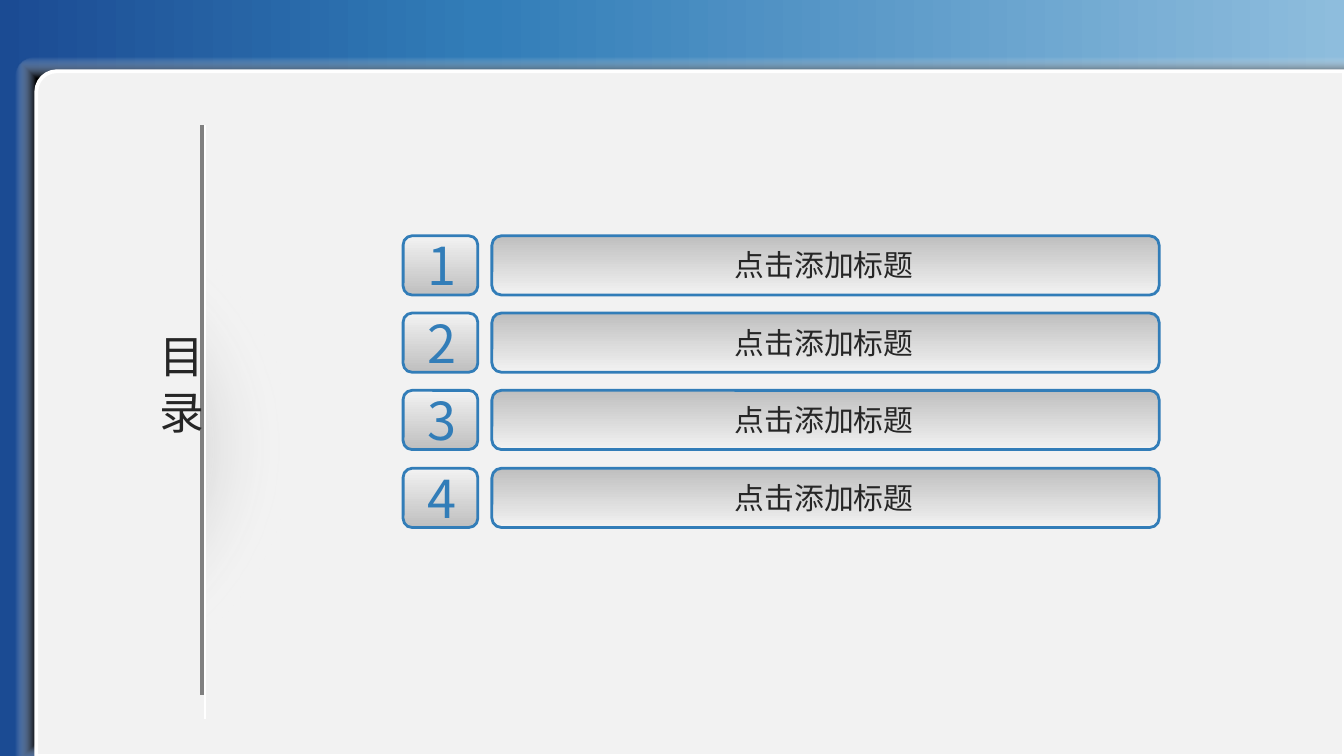
from dataclasses import dataclass
from typing import NamedTuple, Optional

import lxml.etree
import pptx
import pptx.dml.color
import pptx.enum.shapes
import pptx.enum.text
import pptx.oxml.ns
import pptx.util

PX = 4572
qn = pptx.oxml.ns.qn
Preset = pptx.enum.shapes.MSO_SHAPE
Align = pptx.enum.text.PP_ALIGN


class Frame(NamedTuple):
    left: int
    top: int
    width: int
    height: int

    def down(self, distance: int) -> "Frame":
        return self._replace(top=self.top + distance)


class Stop(NamedTuple):
    position: int
    color: str
    opaque: bool = True


class Gradient(NamedTuple):
    stops: tuple[Stop, ...]
    angle: int = 0
    shade: Optional[str] = None


class Stroke(NamedTuple):
    color: str
    width: float


class TextStyle(NamedTuple):
    size: int
    font: str
    color: str
    alignment: Align = Align.CENTER
    outline: Optional[Stroke] = None


@dataclass(frozen=True)
class Theme:
    silver: str = "BFBFBF"
    paper: str = "F2F2F2"
    white: str = "FFFFFF"
    gray: str = "808080"
    blue: str = "327DB8"
    title: TextStyle = TextStyle(24, "Noto Sans CJK JP", "262626")
    label: TextStyle = TextStyle(16, "Noto Sans CJK SC", "262626", Align.LEFT)
    number: TextStyle = TextStyle(
        28, "Noto Sans CJK JP", "327DB8", outline=Stroke("FFFFFF", 0.25))
    backdrop: Gradient = Gradient((Stop(0, "1B4B93"), Stop(36, "327DB8"), Stop(100, "8EBDDD")))
    panel_shadow: Gradient = Gradient(
        (Stop(94, "000000"), Stop(100, "FFFFFF", False)), shade="shape")
    glow: Gradient = Gradient((Stop(7, "808080"), Stop(49, "FFFFFF", False)), shade="circle")


@dataclass(frozen=True)
class Entry:
    number: str
    label: str


THEME = Theme()
SLIDE = Frame(0, 0, 2000, 1125)
ENTRIES = [Entry(str(number), "点击添加标题") for number in range(1, 5)]
BAR = Frame(732, 351, 993, 88)
LABEL = Frame(1074, 358, 310, 74)
BADGE = Frame(600, 351, 111, 88)
NUMBER = Frame(616, 338, 84, 114)
THREE_ROWS = 346
GLOW_BAND = [(-584, 852), (-572, 852), (-572, 900), (516, 900),
             (516, 852), (722, 852), (722, 1026), (-584, 1026)]
GLOW_EDGE = [(-584, 304), (722, 304), (722, 388), (-584, 388)]


def rgb(color: str) -> pptx.dml.color.RGBColor:
    return pptx.dml.color.RGBColor.from_string(color)


def emu(frame: Frame) -> list[int]:
    return [length * PX for length in frame]


def add_color(parent, color: str, opaque: bool = True) -> None:
    node = lxml.etree.SubElement(parent, qn("a:srgbClr"), val=color)
    if not opaque:
        lxml.etree.SubElement(node, qn("a:alpha"), val="0")


def fill_gradient(shape, gradient: Gradient) -> None:
    properties = shape._element.spPr
    fill = properties.makeelement(qn("a:gradFill"), {"rotWithShape": "1"})
    stops = lxml.etree.SubElement(fill, qn("a:gsLst"))
    for stop in gradient.stops:
        node = lxml.etree.SubElement(stops, qn("a:gs"), pos=str(stop.position * 1000))
        add_color(node, stop.color, stop.opaque)
    if gradient.shade:
        shade = lxml.etree.SubElement(fill, qn("a:path"))
        shade.set("path", gradient.shade)
        center = {side: "50000" for side in "ltrb"}
        lxml.etree.SubElement(shade, qn("a:fillToRect"), center)
    else:
        lxml.etree.SubElement(fill, qn("a:lin"), ang=str(gradient.angle * 60000), scaled="0")
    properties.insert(2, fill)


def style_shape(shape, fill: Gradient | str, stroke: Optional[Stroke] = None) -> None:
    shape.shadow.inherit = False
    if isinstance(fill, Gradient):
        fill_gradient(shape, fill)
    else:
        shape.fill.solid()
        shape.fill.fore_color.rgb = rgb(fill)
    if stroke:
        shape.line.color.rgb = rgb(stroke.color)
        shape.line.width = pptx.util.Pt(stroke.width)
    else:
        shape.line.fill.background()


def add_box(page, preset: Preset, frame: Frame, fill: Gradient | str,
            stroke: Optional[Stroke] = None, corner: Optional[float] = None,
            flipped: bool = False) -> None:
    box = page.shapes.add_shape(preset, *emu(frame))
    if corner is not None:
        box.adjustments[0] = corner
    if flipped:
        box._element.spPr.xfrm.set("flipH", "1")
    style_shape(box, fill, stroke)


def add_glow(page) -> None:
    builder = page.shapes.build_freeform(*GLOW_BAND[0], scale=PX)
    builder.add_line_segments(GLOW_BAND[1:], close=True)
    builder.move_to(*GLOW_EDGE[0])
    builder.add_line_segments(GLOW_EDGE[1:], close=True)
    glow = builder.convert_to_shape()
    glow.rotation = 270
    style_shape(glow, THEME.glow)


def add_rule(page, x: int, top: int, bottom: int, stroke: Stroke) -> None:
    straight = pptx.enum.shapes.MSO_CONNECTOR.STRAIGHT
    rule = page.shapes.add_connector(straight, x * PX, top * PX, x * PX, bottom * PX)
    rule.line.color.rgb = rgb(stroke.color)
    rule.line.width = pptx.util.Pt(stroke.width)
    lxml.etree.SubElement(rule._element.spPr, qn("a:effectLst"))


def add_text(page, frame: Frame, text: str, style: TextStyle, vertical: bool = False) -> None:
    box = page.shapes.add_textbox(*emu(frame))
    body = box.text_frame
    body.word_wrap = False
    body.auto_size = pptx.enum.text.MSO_AUTO_SIZE.SHAPE_TO_FIT_TEXT
    if vertical:
        body._txBody.bodyPr.set("vert", "eaVert")
    para = body.paragraphs[0]
    para.text = text
    para.alignment = style.alignment
    para.font.size = pptx.util.Pt(style.size)
    para.font.color.rgb = rgb(style.color)
    para.font.name = style.font
    defaults = para._p.pPr.find(qn("a:defRPr"))
    lxml.etree.SubElement(defaults, qn("a:ea"), typeface=style.font)
    if style.outline:
        width = str(pptx.util.Pt(style.outline.width))
        line = defaults.makeelement(qn("a:ln"), {"w": width})
        add_color(lxml.etree.SubElement(line, qn("a:solidFill")), style.outline.color)
        defaults.insert(0, line)


def add_entry(page, entry: Entry, offset: int) -> None:
    border = Stroke(THEME.blue, 1.5)
    bar_fill = Gradient((Stop(0, THEME.silver), Stop(100, THEME.paper)), angle=90)
    badge_fill = Gradient((Stop(0, THEME.paper), Stop(100, THEME.silver)), angle=90)
    add_box(page, Preset.ROUNDED_RECTANGLE, BAR.down(offset), bar_fill, border, 0.16)
    add_text(page, LABEL.down(offset), entry.label, THEME.label)
    add_box(page, Preset.ROUNDED_RECTANGLE, BADGE.down(offset), badge_fill, border, 0.15)
    add_text(page, NUMBER.down(offset), entry.number, THEME.number)


def main() -> None:
    deck = pptx.Presentation()
    deck.slide_width, deck.slide_height = SLIDE.width * PX, SLIDE.height * PX
    page = deck.slides.add_slide(deck.slide_layouts[6])
    add_box(page, Preset.RECTANGLE, SLIDE, THEME.backdrop)
    add_box(page, Preset.ROUND_1_RECTANGLE, Frame(24, 86, 2000, 1050),
            THEME.panel_shadow, corner=0.03, flipped=True)
    add_box(page, Preset.ROUND_1_RECTANGLE, Frame(54, 106, 1946, 1019),
            THEME.paper, Stroke(THEME.white, 2), corner=0.03, flipped=True)
    add_glow(page)
    add_rule(page, 302, 186, 1034, Stroke(THEME.gray, 3))
    add_rule(page, 305, 1070, 186, Stroke(THEME.white, 1))
    add_text(page, Frame(196, 478, 122, 174), "目 录", THEME.title, vertical=True)
    for row, entry in enumerate(ENTRIES):
        add_entry(page, entry, row * THREE_ROWS // 3)
    deck.save("out.pptx")


if __name__ == "__main__":
    main()
